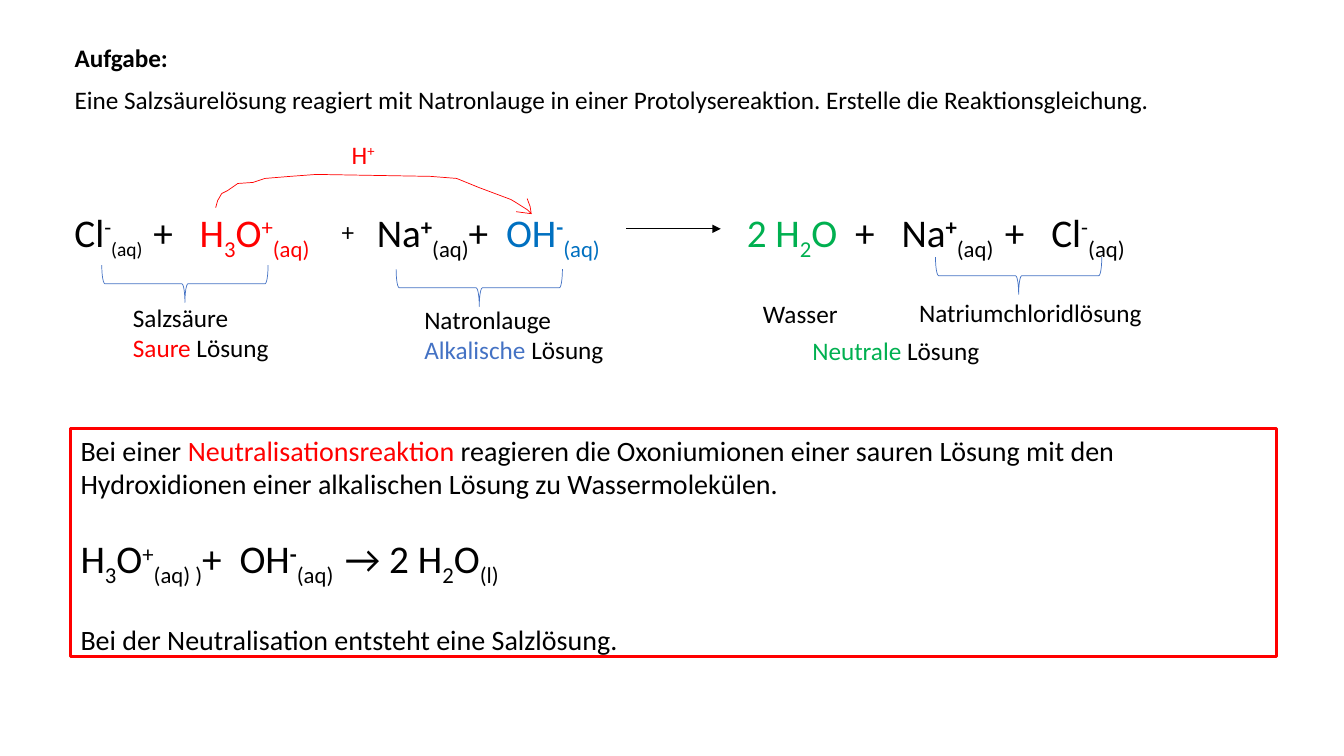
import pptx
import pptx.util
import pptx.dml.color
import pptx.enum.shapes
import pptx.enum.text
import pptx.oxml.ns
from lxml import etree

Inches, Pt = pptx.util.Inches, pptx.util.Pt
Shape = pptx.enum.shapes.MSO_SHAPE
WIDE, HIGH = 13.33, 7.5
FONT = "Calibri"
BLACK, RED, GREEN = "000000", "FF0000", "00B050"
BLUE, STEEL = "0070C0", "4472C4"
LINE = 5.33  # rows of a one-line text box
BASE = {"^": 30, "*": 30, "_": -25}  # raised, raised bold, lowered
SPACE = 0.23  # width of a space as a share of the text size


# Grid of 100 columns and 100 rows
def col(n):
    return Inches(WIDE * n / 100)


def row(n):
    return Inches(HIGH * n / 100)


def rgb(code):
    return pptx.dml.color.RGBColor.from_string(code)


def add_xml(parent, tag, **attrs):
    node = etree.SubElement(parent, pptx.oxml.ns.qn(tag))
    for key, value in attrs.items():
        node.set(key, str(value))
    return node


# Text: each part is (marked text, colour[, size]); "|" splits the runs,
# "~n" is one space tracked out to the width of n
def add_run(par, piece, color, size):
    mark = piece[0] if piece[0] in BASE else ""
    run = par.add_run()
    font = run.font
    font.name, font.size = FONT, Pt(size)
    font.bold = mark == "*"
    font.color.rgb = rgb(color)
    props = run._r.get_or_add_rPr()
    if piece[0] == "~":
        run.text = " "
        extra = (float(piece[1:]) - 1) * SPACE * size
        props.set("spc", str(round(extra * 100)))
        return
    run.text = piece[len(mark):]
    if mark:
        props.set("baseline", str(BASE[mark] * 1000))


def write(par, parts, size, gap=0):
    par.alignment = pptx.enum.text.PP_ALIGN.LEFT
    par.space_before = Pt(gap)
    for text, color, *own in parts:
        for piece in text.split("|"):
            add_run(par, piece, color, own[0] if own else size)


def set_frame(shape):
    frame = shape.text_frame
    frame.word_wrap = True
    frame.auto_size = pptx.enum.text.MSO_AUTO_SIZE.NONE
    frame.vertical_anchor = pptx.enum.text.MSO_ANCHOR.TOP
    return frame


def put_text(slide, x, y, w, h, *lines, size=18):
    box = slide.shapes.add_textbox(col(x), row(y), col(w), row(h))
    frame = set_frame(box)
    for i, parts in enumerate(lines):
        par = frame.add_paragraph() if i else frame.paragraphs[0]
        write(par, parts, size)


def fill_holder(shape, y, w, text):
    shape.left, shape.top = col(4.8), row(y)
    shape.width, shape.height = col(w), row(LINE)
    par = set_frame(shape).paragraphs[0]
    write(par, [(text, BLACK)], 18)
    props = par._p.get_or_add_pPr()
    props.set("marL", "0")
    props.set("indent", "0")
    add_xml(props, "a:buNone")
    return shape


# Lines and outlines
def style(shape, color, width):
    shape.fill.background()
    shape.line.color.rgb = rgb(color)
    shape.line.width = Pt(width)
    shape.shadow.inherit = False


def put_line(slide, start, end, color, head=False):
    line = slide.shapes.add_connector(
        pptx.enum.shapes.MSO_CONNECTOR.STRAIGHT,
        col(start[0]), row(start[1]), col(end[0]), row(end[1]))
    line.line.color.rgb = rgb(color)
    line.line.width = Pt(0.5)
    if head:
        add_xml(line.line._get_or_add_ln(), "a:tailEnd", type="triangle")
    add_xml(line._element.spPr, "a:effectLst")


def put_brace(slide, x, y):
    wide, long = col(2.78), row(22)
    brace = slide.shapes.add_shape(
        Shape.RIGHT_BRACE, col(x) - wide // 2, row(y) - long // 2, wide, long)
    brace.rotation = 90
    style(brace, STEEL, 0.5)


def put_curve(slide, points, color):
    spots = [(col(x), row(y)) for x, y in points]
    pen = slide.shapes.build_freeform(*spots[0])
    pen.add_line_segments(spots[1:], close=False)
    style(pen.convert_to_shape(), color, 0.5)


def put_rule(slide):
    box = slide.shapes.add_shape(
        Shape.RECTANGLE, col(5.25), row(56.67), col(89.7), row(30.13))
    style(box, RED, 2.25)
    frame = set_frame(box)
    write(frame.paragraphs[0], [
        ("Bei einer ", BLACK), ("Neutralisationsreaktion", RED),
        (" reagieren die Oxoniumionen einer sauren Lösung mit den "
         "Hydroxidionen einer alkalischen Lösung zu Wassermolekülen.", BLACK)], 20)
    write(frame.add_paragraph(), [
        ("H|_3|O|^+|_(aq) )|+|~2|OH|*-|_(aq)|~1.3|→ 2 H|_2|O|_(l)", BLACK)],
        28, gap=24.4)
    write(frame.add_paragraph(), [
        ("Bei der Neutralisation entsteht eine Salzlösung.", BLACK)], 20, gap=24.4)


def main():
    deck = pptx.Presentation()
    deck.slide_width, deck.slide_height = Inches(WIDE), Inches(HIGH)
    slide = deck.slides.add_slide(deck.slide_layouts[1])

    # Task
    title = fill_holder(slide.shapes.title, 4.93, 41.63, "Aufgabe:")
    title.text_frame.paragraphs[0].runs[0].font.bold = True
    fill_holder(slide.placeholders[1], 10.53, 87.75,
                "Eine Salzsäurelösung reagiert mit Natronlauge in einer "
                "Protolysereaktion. Erstelle die Reaktionsgleichung.")

    # Equation
    sides = [
        (4.8, 20.7,
         [("Cl|^-", BLACK), ("_(aq)", BLACK, 24), ("~1.2|+|~3", BLACK),
          ("H|_3|O|^+|_(aq)", RED)]),
        (27.3, 19.35,
         [("Na|*+|_(aq)|+|~2", BLACK), ("OH|*-|_(aq)", BLUE)]),
        (54.83, 31.13,
         [("2 H|_2|O|~2", GREEN),
          ("+|~3|Na|*+|_(aq)|~1.3|+|~3|Cl|^-|_(aq)", BLACK)]),
    ]
    for x, w, parts in sides:
        put_text(slide, x, 26.93, w, 7.6, parts, size=28)
    put_text(slide, 24.68, 28, 2.18, LINE, [("+", BLACK)])
    put_line(slide, (46.58, 30.27), (53.63, 30.27), BLACK, head=True)

    # Names of the solutions
    for x, y in ((13.76, 37.53), (35.66, 38.07), (75.79, 36.47)):
        put_brace(slide, x, y)
    put_text(slide, 9.15, 39.33, 14.25, 9.47, [("Salzsäure", BLACK)],
             [("Saure", RED), (" Lösung", BLACK)])
    put_text(slide, 30.83, 39.6, 15.45, 9.47, [("Natronlauge", BLACK)],
             [("Alkalische", STEEL), (" Lösung", BLACK)])
    put_text(slide, 56.03, 38.8, 7.43, LINE, [("Wasser", BLACK)])
    put_text(slide, 67.65, 38.67, 18.23, LINE, [("Natriumchloridlösung", BLACK)])
    put_text(slide, 59.7, 43.73, 14.63, LINE,
             [("Neutrale", GREEN), (" Lösung", BLACK)])

    # Rule
    put_rule(slide)

    # Proton transfer
    put_curve(slide, [
        (16.05, 27.47), (16.2, 26.53), (16.5, 25.6), (16.95, 25.2),
        (17.7, 24.27), (18.83, 24.13), (19.73, 23.6), (21.6, 23.33),
        (23.55, 23.07), (32.03, 23.33), (33.98, 23.6), (35.63, 24.8),
        (38.03, 26.4), (38.4, 26.8), (39.23, 27.73), (39.53, 28.27),
        (39.45, 27.33), (39.23, 26.27)], RED)
    put_line(slide, (39.53, 28.27), (38.4, 28), RED)
    put_text(slide, 25.43, 17.73, 4.43, LINE, [("H|^+", RED)])

    deck.save("out.pptx")


if __name__ == "__main__":
    main()
